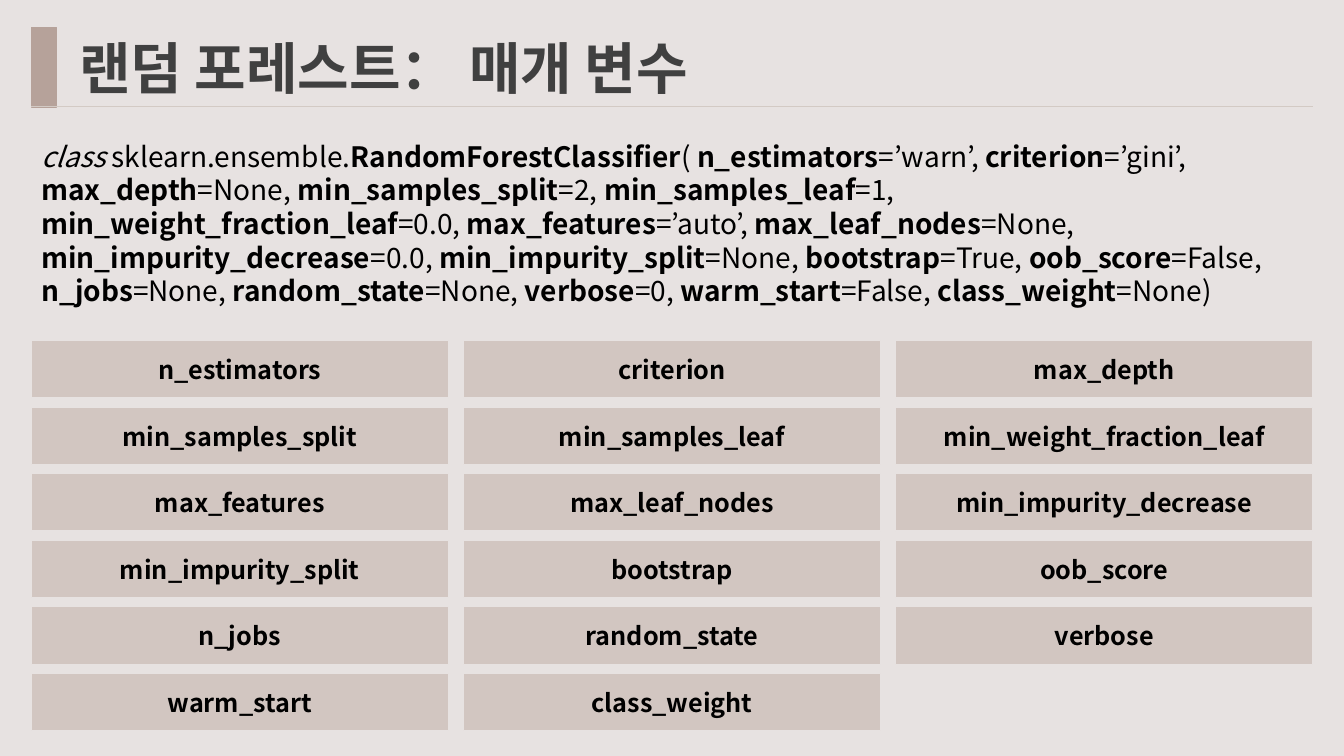
"""Build the slide that lists the random forest parameters."""
from dataclasses import dataclass

from lxml import etree
from pptx import Presentation
from pptx import util as u
from pptx.dml.color import RGBColor
from pptx.enum import shapes, text
from pptx.oxml.ns import qn

TITLE = " 랜덤 포레스트： 매개 변수"
PARAMETERS = [
    ("n_estimators", "’warn’"), ("criterion", "’gini’"), ("max_depth", "None"),
    ("min_samples_split", "2"), ("min_samples_leaf", "1"), ("min_weight_fraction_leaf", "0.0"),
    ("max_features", "’auto’"), ("max_leaf_nodes", "None"), ("min_impurity_decrease", "0.0"),
    ("min_impurity_split", "None"), ("bootstrap", "True"), ("oob_score", "False"),
    ("n_jobs", "None"), ("random_state", "None"), ("verbose", "0"),
    ("warm_start", "False"), ("class_weight", "None"),
]
OPENING = [("class", "italic"), (" sklearn.ensemble.", ""),
           ("RandomForestClassifier", "bold"), ("( ", "")]


@dataclass(frozen=True)
class Theme:
    font: str = "Noto Sans CJK KR"
    ground: str = "E7E2E1"
    accent: str = "B6A29A"
    rule: str = "D3CAC4"
    cell: str = "D2C6C1"
    heading: str = "404040"
    ink: str = "000000"
    title_size: int = 40
    body_size: int = 20
    body_leading: int = 24
    cell_size: int = 18


THEME = Theme()
WIDTH, HEIGHT = 13.33, 7.5
LEFT, CONTENT_WIDTH = 0.31, 12.71
HEADER_TOP, HEADER_HEIGHT, BAR_WIDTH = 0.27, 0.79, 0.25
SIGNATURE_TOP, SIGNATURE_HEIGHT = 1.32, 1.79
GRID_TOP, COLUMNS, COLUMN_GAP = 3.38, 3, 0.15
ROW_PITCH, CELL_HEIGHT = 0.66, 0.57
CELL_WIDTH = (CONTENT_WIDTH - (COLUMNS - 1) * COLUMN_GAP) / COLUMNS


def color(code):
    return RGBColor.from_string(code)


def write(box, spans, size, ink=THEME.ink, align=text.PP_ALIGN.LEFT, leading=None):
    frame = box.text_frame
    frame.word_wrap = True
    frame.vertical_anchor = text.MSO_ANCHOR.MIDDLE
    para = frame.paragraphs[0]
    para.alignment = align
    if leading:
        para.line_spacing = u.Pt(leading)
    for words, style in spans:
        span = para.add_run()
        span.text = words
        font = span.font
        font.name, font.size = THEME.font, u.Pt(size)
        font.bold, font.italic = style == "bold", style == "italic"
        font.color.rgb = color(ink)
        etree.SubElement(font._element, qn("a:ea"), typeface=THEME.font)


def add_block(page, left, top, width, height, fill, line=None):
    block = page.shapes.add_shape(
        shapes.MSO_SHAPE.RECTANGLE, *map(u.Inches, (left, top, width, height)))
    block.shadow.inherit = False
    block.fill.solid()
    block.fill.fore_color.rgb = color(fill)
    if line:
        block.line.color.rgb = color(line)
        block.line.width = u.Pt(1)
    else:
        block.line.fill.background()
    return block


def add_header(page):
    add_block(page, LEFT, HEADER_TOP, BAR_WIDTH, HEADER_HEIGHT, THEME.accent, THEME.accent)
    bottom = HEADER_TOP + HEADER_HEIGHT
    rule = page.shapes.add_connector(
        shapes.MSO_CONNECTOR.STRAIGHT,
        *map(u.Inches, (LEFT, bottom, LEFT + CONTENT_WIDTH, bottom)))
    rule.line.color.rgb = color(THEME.rule)
    rule.line.width = u.Pt(0.5)
    etree.SubElement(rule._element.spPr, qn("a:effectLst"))
    title = page.shapes.add_textbox(*map(u.Inches, (
        LEFT + BAR_WIDTH, HEADER_TOP, CONTENT_WIDTH - BAR_WIDTH, HEADER_HEIGHT)))
    write(title, [(TITLE, "bold")], THEME.title_size, ink=THEME.heading)


def add_signature(page):
    spans = list(OPENING)
    for index, (name, default) in enumerate(PARAMETERS, start=1):
        ending = ")" if index == len(PARAMETERS) else ", "
        spans += [(name, "bold"), (f"={default}{ending}", "")]
    box = add_block(page, LEFT, SIGNATURE_TOP, CONTENT_WIDTH, SIGNATURE_HEIGHT, THEME.ground)
    write(box, spans, THEME.body_size, leading=THEME.body_leading)


def add_grid(page):
    for index, (name, _) in enumerate(PARAMETERS):
        row, column = divmod(index, COLUMNS)
        cell = add_block(page, LEFT + column * (CELL_WIDTH + COLUMN_GAP),
                         GRID_TOP + row * ROW_PITCH, CELL_WIDTH, CELL_HEIGHT,
                         THEME.cell, THEME.ground)
        write(cell, [(name, "bold")], THEME.cell_size, align=text.PP_ALIGN.CENTER)


def main():
    deck = Presentation()
    deck.slide_width, deck.slide_height = u.Inches(WIDTH), u.Inches(HEIGHT)
    page = deck.slides.add_slide(deck.slide_layouts[6])
    page.background.fill.solid()
    page.background.fill.fore_color.rgb = color(THEME.ground)
    add_header(page)
    add_signature(page)
    add_grid(page)
    deck.save("out.pptx")


if __name__ == "__main__":
    main()
